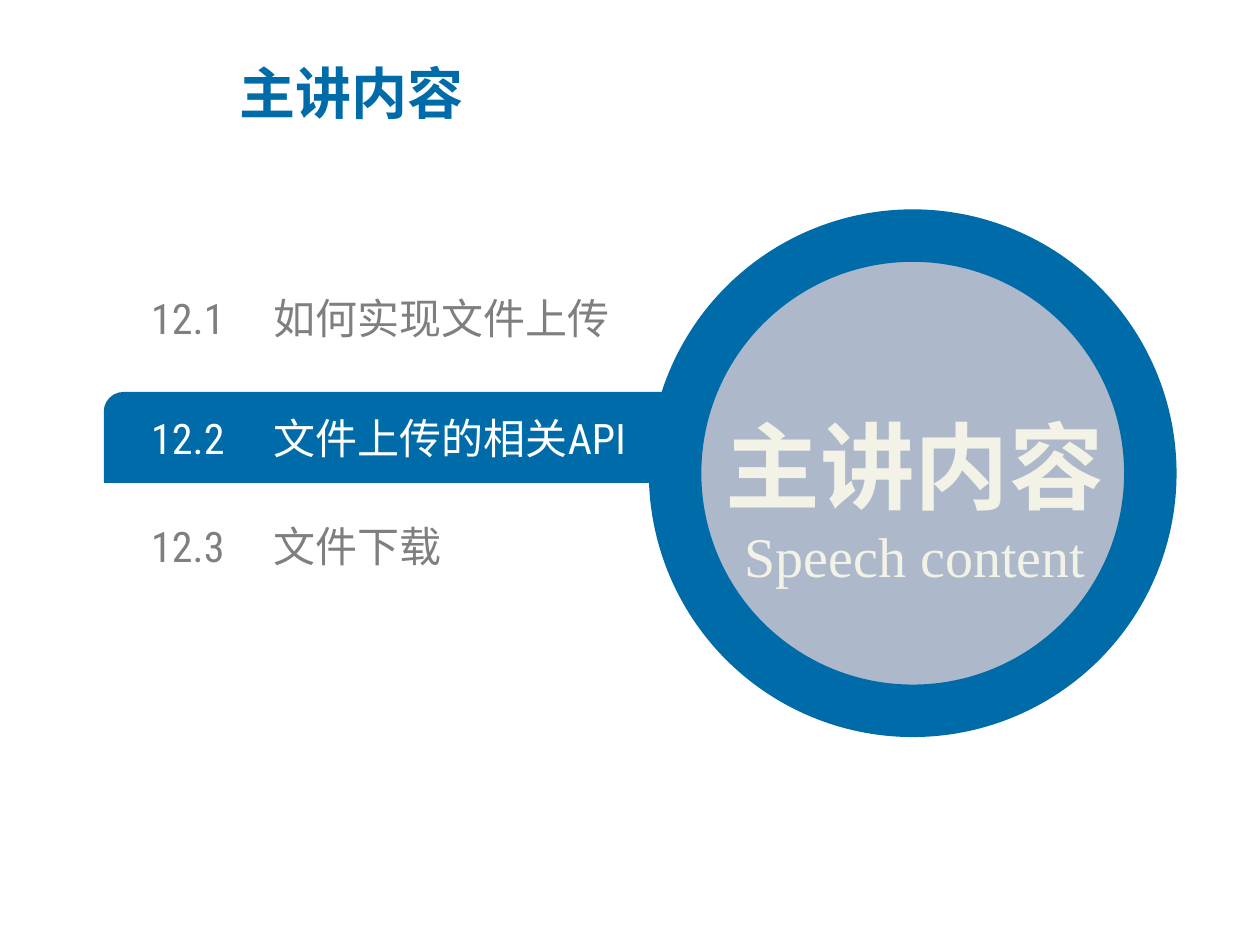
import pptx
import pptx.util
import pptx.dml.color
import pptx.enum.shapes
import pptx.enum.text
import pptx.oxml
import pptx.oxml.ns
from dataclasses import dataclass
from pptx.util import Cm


@dataclass(frozen=True)
class Theme:
    blue: str = "006BA9"
    grey: str = "7F7F7F"
    white: str = "FFFFFF"
    disc: str = "ADB9CA"
    cream: str = "F2F2E6"
    cjk: str = "Noto Sans CJK SC"
    condensed: str = "Roboto Condensed"
    serif: str = "Times New Roman"
    title_size: int = 32
    item_size: int = 24
    topic_size: int = 54
    ring_width: int = 30


THEME = Theme()

# Content
TITLE = "主讲内容"
SUBTITLE = "Speech content"
SECTIONS = [  # number, name, top in cm
    ("12.1", "如何实现文件上传", 5.89),
    ("12.2", "文件上传的相关API", 8.31),
    ("12.3", "文件下载", 10.49),
]
CURRENT = "12.2"

# Layout in cm: left, top, width, height
TITLE_BOX = (4.57, 1.09, 13.74, 1.55)
BAR_BOX = (2.11, 7.92, 13.59, 1.8)
DISC_BOX = (13.61, 4.75, 9.58, 9.58)
CAPTION_BOX = (13.49, 6.93, 9.91, 5.08)
ITEM_LEFT, ITEM_WIDTH, ITEM_HEIGHT = 3.05, 10.64, 1.02
NAME_TAB = 2.47


def rgb(color):
    return pptx.dml.color.RGBColor.from_string(color)


def add_run(paragraph, text, font, size, color, bold=False):
    run = paragraph.add_run()
    run.text = text
    run.font.name = font
    run.font.size = pptx.util.Pt(size)
    run.font.bold = bold
    run.font.color.rgb = rgb(color)
    east_asian = pptx.oxml.parse_xml(
        f'<a:ea {pptx.oxml.ns.nsdecls("a")} typeface="{THEME.cjk}"/>')
    run.font._element.find(pptx.oxml.ns.qn("a:latin")).addnext(east_asian)


def add_figure(slide, preset, box, fill, line_width):
    figure = slide.shapes.add_shape(preset, *map(Cm, box))
    figure.shadow.inherit = False
    figure.fill.solid()
    figure.fill.fore_color.rgb = rgb(fill)
    figure.line.color.rgb = rgb(THEME.blue)
    figure.line.width = pptx.util.Pt(line_width)
    return figure


def add_text_frame(slide, box):
    frame = slide.shapes.add_textbox(*map(Cm, box)).text_frame
    frame.word_wrap = True
    frame.vertical_anchor = pptx.enum.text.MSO_ANCHOR.MIDDLE
    return frame


def add_section(slide, number, name, top):
    frame = add_text_frame(slide, (ITEM_LEFT, top, ITEM_WIDTH, ITEM_HEIGHT))
    frame.margin_left = frame.margin_right = 0
    frame.margin_top = frame.margin_bottom = 0
    paragraph = frame.paragraphs[0]
    tabs = pptx.oxml.parse_xml(
        f'<a:tabLst {pptx.oxml.ns.nsdecls("a")}>'
        f'<a:tab pos="{Cm(NAME_TAB)}" algn="l"/></a:tabLst>')
    paragraph._p.get_or_add_pPr().append(tabs)
    color = THEME.white if number == CURRENT else THEME.grey
    add_run(paragraph, f"{number}\t{name}", THEME.condensed, THEME.item_size, color)


def main():
    deck = pptx.Presentation()
    deck.slide_width, deck.slide_height = Cm(25.4), Cm(19.05)
    slide = deck.slides.add_slide(deck.slide_layouts[5])
    shapes = pptx.enum.shapes.MSO_SHAPE

    # Title
    title = slide.shapes.title
    title.left, title.top, title.width, title.height = map(Cm, TITLE_BOX)
    title.text_frame.auto_size = pptx.enum.text.MSO_AUTO_SIZE.NONE
    title.text_frame.vertical_anchor = pptx.enum.text.MSO_ANCHOR.MIDDLE
    heading = title.text_frame.paragraphs[0]
    heading.alignment = pptx.enum.text.PP_ALIGN.LEFT
    add_run(heading, TITLE, THEME.cjk, THEME.title_size, THEME.blue, bold=True)

    # Bar behind the current section, then the section list
    bar = add_figure(slide, shapes.ROUND_2_DIAG_RECTANGLE, BAR_BOX, THEME.blue, 1)
    bar.adjustments[0] = 0.21
    bar.adjustments[1] = 0
    for section in SECTIONS:
        add_section(slide, *section)

    # Ringed disc with its caption
    add_figure(slide, shapes.OVAL, DISC_BOX, THEME.disc, THEME.ring_width)
    caption = add_text_frame(slide, CAPTION_BOX)
    topic, subtitle = caption.paragraphs[0], caption.add_paragraph()
    topic.line_spacing = 1.5
    topic.alignment = subtitle.alignment = pptx.enum.text.PP_ALIGN.CENTER
    add_run(topic, TITLE, THEME.cjk, THEME.topic_size, THEME.cream, bold=True)
    add_run(subtitle, SUBTITLE, THEME.serif, THEME.title_size, THEME.cream)

    deck.save("out.pptx")


if __name__ == "__main__":
    main()
